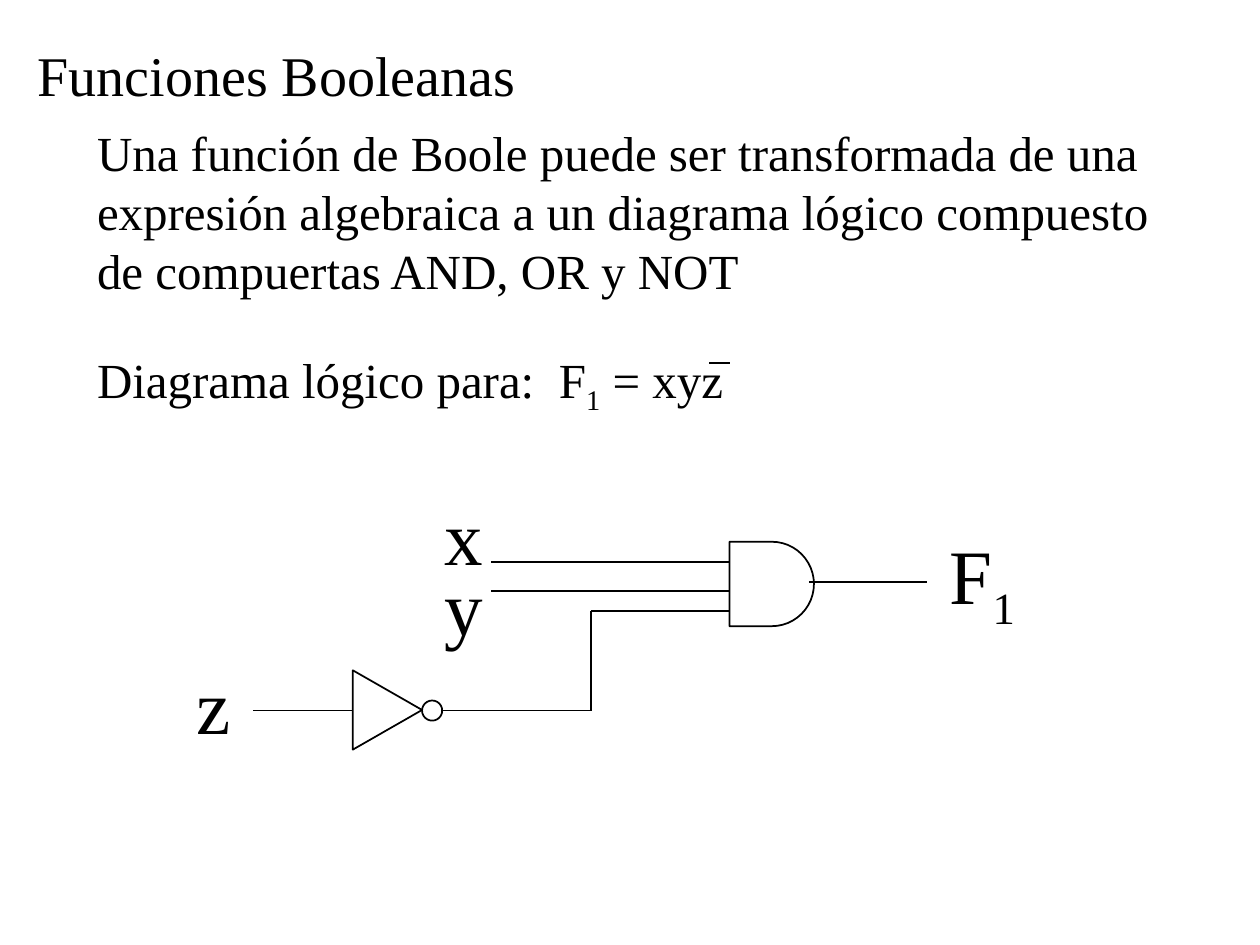
from lxml import etree
from pptx import Presentation
from pptx.dml.color import RGBColor
from pptx.enum.shapes import MSO_CONNECTOR, MSO_SHAPE
from pptx.enum.text import MSO_ANCHOR, MSO_AUTO_SIZE, PP_ALIGN
from pptx.oxml.ns import qn
from pptx.util import Inches, Pt

STRAIGHT = MSO_CONNECTOR.STRAIGHT
DELAY, TRIANGLE, OVAL = (MSO_SHAPE.FLOWCHART_DELAY,
                         MSO_SHAPE.ISOSCELES_TRIANGLE, MSO_SHAPE.OVAL)
TOP, MIDDLE = MSO_ANCHOR.TOP, MSO_ANCHOR.MIDDLE
LEFT, FIXED = PP_ALIGN.LEFT, MSO_AUTO_SIZE.NONE

COLORS = {"ink": "000000", "paper": "FFFFFF"}
INK = RGBColor.from_string(COLORS["ink"])
FONT = "Times New Roman"
THIN = Pt(1)

deck = Presentation()
deck.slide_width, deck.slide_height = Inches(10), Inches(7.5)
slide = deck.slides.add_slide(deck.slide_layouts[1])
shapes = slide.shapes


def place(box, at, anchor):
    box.left, box.top, box.width, box.height = map(Inches, at)
    frame = box.text_frame
    frame.auto_size, frame.word_wrap = FIXED, True
    frame.vertical_anchor = anchor
    return frame


def write(para, runs, size):
    para.alignment = LEFT
    para.space_before = Pt(0)
    for text, base in runs:
        run = para.add_run()
        run.text = text
        font = run.font
        font.name, font.size = FONT, Pt(size)
        font.color.rgb = INK
        if base:
            font._element.set("baseline", str(base * 1000))


# Title
title = shapes.title
frame = place(title, (0.2, 0.21, 9.61, 0.64), TOP)
frame.margin_top = Inches(0.11)
title.line.color.rgb = RGBColor.from_string(COLORS["paper"])
title.line.width = THIN
write(frame.paragraphs[0], [("Funciones Booleanas", 0)], 32)

# Body text
PITCH = 33.5
frame = place(slide.placeholders[1], (0.67, 0.89, 8.74, 2.5), MIDDLE)
texts = [
    [("Una función de Boole puede ser transformada de una expresión "
      "algebraica a un diagrama lógico compuesto de compuertas "
      "AND, OR y NOT", 0)],
    [("Diagrama lógico para:  F", 0), ("1", -25), (" = xyz", 0)],
]
for i, runs in enumerate(texts):
    para = frame.paragraphs[0] if i == 0 else frame.add_paragraph()
    write(para, runs, 28)
    para.line_spacing = Pt(PITCH)
    para.space_before = Pt(PITCH * i)
    props = para._p.get_or_add_pPr()
    props.set("marL", "0")
    props.set("indent", "0")
    etree.SubElement(props, qn("a:buNone"))

# Gates: AND, then NOT with its bubble
gates = [
    (DELAY, (5.79, 4.3, 0.67, 0.67), 0),
    (TRIANGLE, (2.76, 5.36, 0.63, 0.55), 90),
    (OVAL, (3.35, 5.56, 0.16, 0.16), 0),
]
for kind, at, turn in gates:
    gate = shapes.add_shape(kind, *map(Inches, at))
    gate.rotation = turn
    gate.shadow.inherit = False
    gate.fill.background()
    gate.line.color.rgb = INK
    gate.line.width = THIN

# Bar over z, then wires
wires = [
    (5.63, 2.88, 5.79, 2.88),
    (3.9, 4.46, 5.79, 4.46),
    (3.9, 4.69, 5.79, 4.69),
    (4.69, 4.85, 5.79, 4.85),
    (4.69, 4.85, 4.69, 5.64),
    (4.69, 5.64, 3.5, 5.64),
    (2.8, 5.64, 2.01, 5.64),
    (6.42, 4.62, 7.36, 4.62),
]
for ends in wires:
    wire = shapes.add_connector(STRAIGHT, *map(Inches, ends))
    wire.line.color.rgb = INK
    wire.line.width = THIN
    etree.SubElement(wire._element.spPr, qn("a:effectLst"))

# Signal names
labels = [
    ((1.46, 5.17, 0.47, 0.84), [("z", 0)]),
    ((3.43, 3.83, 0.5, 0.84), [("x", 0)]),
    ((3.43, 4.38, 0.5, 0.84), [("y", 0)]),
    ((7.44, 4.14, 0.74, 0.94), [("F", 0), ("1", -25)]),
]
for at, runs in labels:
    label = shapes.add_textbox(*map(Inches, at))
    frame = place(label, at, TOP)
    write(frame.paragraphs[0], runs, 44)

deck.save("out.pptx")
